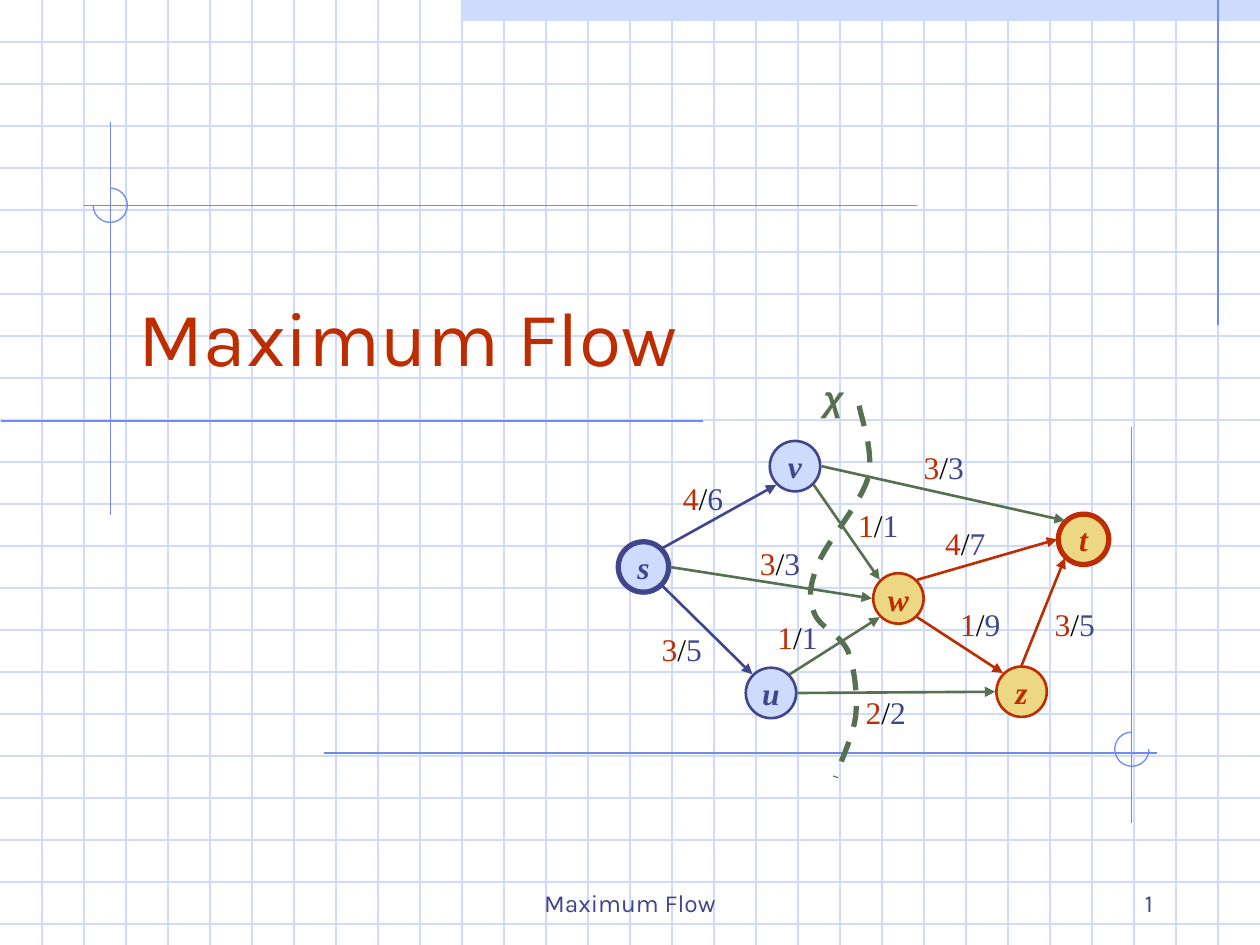
from collections import namedtuple
from dataclasses import dataclass
from math import hypot
from lxml.etree import SubElement
from pptx import Presentation
from pptx.dml.color import RGBColor
from pptx.enum.dml import MSO_LINE
from pptx.enum.shapes import MSO_CONNECTOR, MSO_SHAPE
from pptx.enum.text import MSO_ANCHOR, MSO_AUTO_SIZE, PP_ALIGN
from pptx.oxml.ns import qn
from pptx.util import Pt

Box = namedtuple("Box", "left top width height")


@dataclass(frozen=True)
class Theme:
    pale: str = "CFDBFD"
    guide: str = "6F89F7"
    navy: str = "40458C"
    red: str = "BE2D00"
    gold: str = "ECD882"
    green: str = "577052"
    black: str = "000000"
    sans: str = "Karla"
    serif: str = "Times New Roman"
    symbol: str = "Arial"
    title_size: int = 44
    cut_size: int = 20
    graph_size: int = 18
    footer_size: int = 14


THEME = Theme()
PAGE = Box(0, 0, 720, 540)
NODE_SIZE = 28.8
EDGE_GAP = 15.1
COMPASS = {"N": (0, -1), "NE": (1, -1), "E": (1, 0), "SE": (1, 1),
           "SW": (-1, 1), "W": (-1, 0), "NW": (-1, -1)}

NODES = {
    "w": (163.4, 132, "sink", 1.5), "s": (17.7, 114, "source", 3),
    "v": (104.3, 56.4, "source", 1.5), "u": (90.6, 186, "source", 1.5),
    "t": (269.2, 98.2, "sink", 3), "z": (233.8, 185.3, "sink", 1.5),
}
EDGES = [
    ("s", "NE", "v", "SW", "4/6", 33, 60),
    ("s", "SE", "u", "NW", "3/5", 20.8, 146.4),
    ("v", "SE", "w", "NW", "1/1", 133.1, 75.8),
    ("v", "E", "t", "NW", "3/3", 170.6, 42.7),
    ("w", "NE", "t", "W", "4/7", 182.8, 85.9),
    ("w", "SE", "z", "NW", "1/9", 191.4, 132),
    ("z", "N", "t", "SW", "3/5", 245.4, 132),
    ("u", "E", "z", "W", "2/2", 137.4, 182.4),
    ("u", "NE", "w", "SW", "1/1", 87, 139.9),
    ("s", "E", "w", "W", "3/3", 77, 97.4),
]
CUT = [
    (141, 21.8), (141.8, 28.3), (149.7, 47.8), (146.1, 62.9),
    (141.8, 78), (122.3, 99.6), (117.3, 112.6),
    (112.2, 125.5), (112.2, 132), (115.1, 139.9),
    (118, 148.6), (130.2, 152.2), (134.6, 162.2),
    (138.2, 171.6), (140.3, 187.4), (138.9, 199.7),
    (137.4, 211.2), (129.5, 227), (127.4, 234.2),
]


def points(values):
    return [Pt(value) for value in values]


def paint_line(line, color, width):
    line.color.rgb = RGBColor.from_string(color)
    line.width = Pt(width)


def add_line(page, start, end, color, width=0.75, arrow=False):
    connector = page.shapes.add_connector(MSO_CONNECTOR.STRAIGHT, *points(start + end))
    paint_line(connector.line, color, width)
    properties = connector.element.spPr
    if arrow:
        SubElement(properties.get_or_add_ln(), qn("a:tailEnd"), type="triangle")
    SubElement(properties, qn("a:effectLst"))


def add_shape(page, kind, box, fill=None):
    shape = page.shapes.add_shape(kind, *points(box))
    shape.shadow.inherit = False
    if fill:
        shape.fill.solid()
        shape.fill.fore_color.rgb = RGBColor.from_string(fill)
    else:
        shape.fill.background()
    return shape


def write(shape, pieces, font, size, align=PP_ALIGN.CENTER, anchor=MSO_ANCHOR.TOP,
          strong=False, wrap=False):
    frame = shape.text_frame
    frame.auto_size = MSO_AUTO_SIZE.NONE
    frame.word_wrap = wrap
    frame.vertical_anchor = anchor
    para = frame.paragraphs[0]
    para.alignment = align
    for text, color in pieces:
        span = para.add_run()
        span.text = text
        span.font.name = font
        span.font.size = Pt(size)
        span.font.bold = span.font.italic = strong
        span.font.color.rgb = RGBColor.from_string(color)


def draw_grid(page, box, step=24):
    add_shape(page, MSO_SHAPE.RECTANGLE, Box(box.left + 264, box.top, box.width - 264, 12),
              THEME.pale).line.fill.background()
    right, bottom = box.left + box.width, box.top + box.height
    for y in range(box.top + step, bottom, step):
        add_line(page, (box.left, y), (right, y), THEME.pale)
    for x in range(box.left + step, right, step):
        add_line(page, (x, box.top), (x, bottom), THEME.pale)


def draw_guides(page, box):
    lines = [((696, 0), (696, 186)), ((63.2, 70), (63.2, 294.5)), ((402, 240.5), (0.5, 240.5)),
             ((524, 117.4), (48, 117.4)), ((185, 430.3), (661, 430.3)), ((646.5, 244), (646.5, 470.5))]
    for (x1, y1), (x2, y2) in lines:
        add_line(page, (box.left + x1, box.top + y1), (box.left + x2, box.top + y2), THEME.guide)
    for x, y, start, end in [(53.2, 107.5, 270, 180), (637, 418.3, 0, 270)]:
        arc = add_shape(page, MSO_SHAPE.ARC, Box(box.left + x, box.top + y, 19.6, 19.6))
        arc.adjustments[0] = start * 0.6
        arc.adjustments[1] = end * 0.6
        paint_line(arc.line, THEME.guide, 0.75)


def place_title(page, box):
    title = page.shapes.title
    title.left, title.top, title.width, title.height = points(box)
    title.element.getparent().append(title.element)
    write(title, [("Maximum Flow", THEME.red)], THEME.sans, THEME.title_size,
          PP_ALIGN.LEFT, MSO_ANCHOR.BOTTOM, wrap=True)


def place_footer(page, box):
    parts = [("Maximum Flow", 0, 228, PP_ALIGN.CENTER), ("1", 270, 150, PP_ALIGN.RIGHT)]
    for text, offset, width, align in parts:
        label = page.shapes.add_textbox(*points((box.left + offset, box.top, width, box.height)))
        write(label, [(text, THEME.navy)], THEME.sans, THEME.footer_size,
              align, MSO_ANCHOR.BOTTOM, wrap=True)


def edge_point(box, name, direction):
    x, y = NODES[name][:2]
    dx, dy = COMPASS[direction]
    reach = EDGE_GAP / hypot(dx, dy)
    return box.left + x + dx * reach, box.top + y + dy * reach


def curve_points(controls, steps=12):
    yield controls[0]
    for first in range(0, len(controls) - 1, 3):
        segment = controls[first:first + 4]
        for step in range(1, steps + 1):
            t = step / steps
            weights = ((1 - t) ** 3, 3 * t * (1 - t) ** 2, 3 * t * t * (1 - t), t ** 3)
            yield tuple(sum(w * p[axis] for w, p in zip(weights, segment)) for axis in (0, 1))


def draw_cut(page, box):
    path = [(Pt(box.left + x), Pt(box.top + y)) for x, y in curve_points(CUT)]
    builder = page.shapes.build_freeform(*path[0])
    builder.add_line_segments(path[1:], close=False)
    cut = builder.convert_to_shape()
    cut.shadow.inherit = False
    cut.fill.background()
    paint_line(cut.line, THEME.green, 3)
    cut.line.dash_style = MSO_LINE.DASH
    label = page.shapes.add_textbox(*points((box.left + 113.7, box.top + 1.7, 25.2, 31.7)))
    write(label, [("χ", THEME.green)], THEME.symbol, THEME.cut_size, strong=True)


def draw_network(page, box):
    sides = {"source": (THEME.pale, THEME.navy), "sink": (THEME.gold, THEME.red)}
    for name, (x, y, side, width) in NODES.items():
        fill, ink = sides[side]
        corner = (box.left + x - NODE_SIZE / 2, box.top + y - NODE_SIZE / 2)
        node = add_shape(page, MSO_SHAPE.OVAL, Box(*corner, NODE_SIZE, NODE_SIZE), fill)
        paint_line(node.line, ink, width)
        write(node, [(name, ink)], THEME.serif, THEME.graph_size,
              anchor=MSO_ANCHOR.MIDDLE, strong=True)
    for start, leave, end, enter, flow, x, y in EDGES:
        label = page.shapes.add_textbox(*points((box.left + x, box.top + y, 37.4, 28.8)))
        write(label, zip(flow, (THEME.red, THEME.black, THEME.navy)),
              THEME.serif, THEME.graph_size)
        side = NODES[start][2]
        color = sides[side][1] if side == NODES[end][2] else THEME.green
        add_line(page, edge_point(box, start, leave), edge_point(box, end, enter),
                 color, 1.5, arrow=True)
    draw_cut(page, box)


def main():
    deck = Presentation()
    deck.slide_width, deck.slide_height = Pt(PAGE.width), Pt(PAGE.height)
    page = deck.slides.add_slide(deck.slide_layouts[5])
    draw_grid(page, PAGE)
    draw_guides(page, PAGE)
    place_footer(page, Box(246, 492, 420, 36))
    place_title(page, Box(72, 132, 612, 90))
    draw_network(page, Box(350, 210, 290, 240))
    deck.save("out.pptx")


if __name__ == "__main__":
    main()
